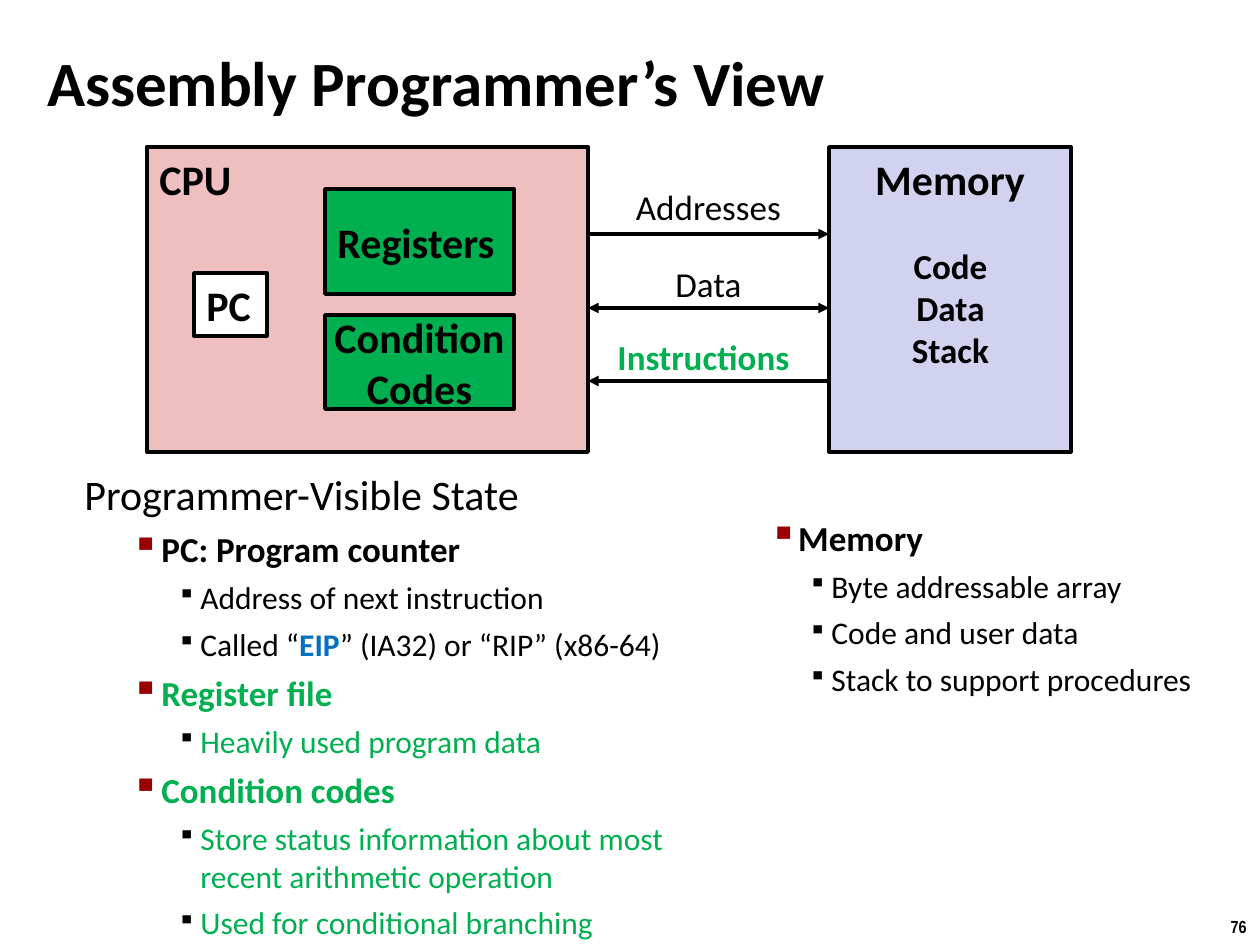
import pptx
import pptx.util
import pptx.dml.color
import pptx.enum.shapes
import pptx.enum.text
import pptx.oxml
import pptx.oxml.ns
from lxml import etree

EMU_PER_PX = 914400 / 126
COLORS = {
    "ink": "000000", "paper": "FFFFFF", "cpu": "EFBFBF", "memory": "D1D1F0",
    "green": "00B050", "blue": "0070C0", "bullet": "990000",
}
ALIGN = pptx.enum.text.PP_ALIGN
ANCHOR = pptx.enum.text.MSO_ANCHOR
# Outline levels: text size, bold, bullet colour and bullet size in percent
LEVELS = {
    0: {"size": 24, "bold": False, "bullet": None},
    1: {"size": 20, "bold": True, "bullet": ("bullet", 110)},
    2: {"size": 18, "bold": False, "bullet": ("ink", 80)},
}


def px(length):
    return pptx.util.Emu(round(length * EMU_PER_PX))


def rgb(name):
    return pptx.dml.color.RGBColor.from_string(COLORS[name])


def add_xml(parent, tag, **attributes):
    return etree.SubElement(parent, pptx.oxml.ns.qn(tag), attributes)


class SlideBuilder:
    font = "Calibri"

    def __init__(self, slide):
        self.slide = slide

    def add_run(self, paragraph, text, size, bold=False, color="ink", font=None):
        run = paragraph.add_run()
        run.text = text
        style = {"name": font or self.font, "size": pptx.util.Pt(size), "bold": bold}
        for key, value in style.items():
            setattr(run.font, key, value)
        run.font.color.rgb = rgb(color)

    def frame(self, shape, wrap=True, anchor=ANCHOR.TOP, inset=None):
        frame = shape.text_frame
        layout = {"word_wrap": wrap, "vertical_anchor": anchor,
                  "auto_size": pptx.enum.text.MSO_AUTO_SIZE.NONE}
        if inset is not None:
            sides = ("left", "top", "right", "bottom")
            layout.update({f"margin_{side}": px(inset) for side in sides})
        for key, value in layout.items():
            setattr(frame, key, value)
        return frame

    def add_lines(self, frame, lines, align, **style):
        for index, line in enumerate(lines):
            paragraph = frame.paragraphs[0] if index == 0 else frame.add_paragraph()
            paragraph.alignment = align
            self.add_run(paragraph, line, **style)

    def title(self, text, box):
        title = self.slide.shapes.title
        for key, value in zip(("left", "top", "width", "height"), box):
            setattr(title, key, px(value))
        frame = self.frame(title, anchor=ANCHOR.MIDDLE, inset=5)
        self.add_lines(frame, [text], ALIGN.LEFT, size=36, bold=True)

    def block(self, lines, box, fill, anchor=ANCHOR.MIDDLE, align=ALIGN.LEFT, line_width=2):
        rectangle = pptx.enum.shapes.MSO_SHAPE.RECTANGLE
        shape = self.slide.shapes.add_shape(rectangle, *map(px, box))
        shape.shadow.inherit = False
        shape.fill.solid()
        shape.fill.fore_color.rgb = rgb(fill)
        shape.line.color.rgb = rgb("ink")
        shape.line.width = pptx.util.Pt(line_width)
        frame = self.frame(shape, wrap=True, anchor=anchor)
        frame.word_wrap = False
        self.add_lines(frame, lines, align, size=24, bold=True)

    def label(self, lines, box, **style):
        shape = self.slide.shapes.add_textbox(*map(px, box))
        self.add_lines(self.frame(shape), lines, ALIGN.CENTER, **style)

    def arrow(self, left, right, y, heads):
        """Draw a horizontal line; heads lists headEnd (left) and tailEnd (right)."""
        straight = pptx.enum.shapes.MSO_CONNECTOR.STRAIGHT
        connector = self.slide.shapes.add_connector(straight, px(left), px(y), px(right), px(y))
        connector.line.color.rgb = rgb("ink")
        connector.line.width = pptx.util.Pt(2)
        properties = connector._element.spPr
        outline = properties.find(pptx.oxml.ns.qn("a:ln"))
        for head in heads:
            add_xml(outline, f"a:{head}", type="triangle", w="med", len="med")
        add_xml(properties, "a:effectLst")

    def outline(self, items, box, indents):
        """Add (level, colour, runs) items; indents maps a level to (margin, hanging)."""
        shape = self.slide.shapes.add_textbox(*map(px, box))
        frame = self.frame(shape)
        for index, (level, color, runs) in enumerate(items):
            paragraph = frame.paragraphs[0] if index == 0 else frame.add_paragraph()
            paragraph.level = level
            if index:
                paragraph.space_before = pptx.util.Pt(5)
            style = LEVELS[level]
            margin, hanging = indents[level]
            properties = paragraph._p.get_or_add_pPr()
            properties.set("marL", str(px(margin)))
            properties.set("indent", str(-px(hanging)))
            if style["bullet"]:
                bullet_color, percent = style["bullet"]
                add_xml(add_xml(properties, "a:buClr"), "a:srgbClr", val=COLORS[bullet_color])
                add_xml(properties, "a:buSzPct", val=str(percent * 1000))
                add_xml(properties, "a:buChar", char="▪")
            for text, emphasis in runs:
                look = {"size": style["size"], "bold": style["bold"], "color": color}
                self.add_run(paragraph, text, **{**look, **emphasis})


def main():
    deck = pptx.Presentation()
    deck.slide_width, deck.slide_height = px(1260), px(945)
    view = SlideBuilder(deck.slides.add_slide(deck.slide_layouts[5]))
    view.title("Assembly Programmer’s View", (42, 42, 995, 79))

    cpu_right, memory_left = 588, 829
    view.block(["CPU"], (147, 147, 441, 305), "cpu", ANCHOR.TOP, line_width=2.25)
    view.block(["PC"], (194, 273, 73, 63), "paper")
    view.block(["Registers"], (325, 189, 189, 105), "green")
    view.block(["Condition", "Codes"], (325, 315, 189, 94), "green", align=ALIGN.CENTER)
    view.block(["Memory"], (memory_left, 147, 242, 305), "memory", ANCHOR.TOP, ALIGN.CENTER)
    view.label(["Code", "Data", "Stack"], (872, 238, 157, 140), size=20, bold=True)

    buses = [
        ("Addresses", 234, 179, 241, ["tailEnd"], {}),
        ("Data", 308, 256, 241, ["headEnd", "tailEnd"], {}),
        ("Instructions", 381, 329, 231, ["headEnd"], {"bold": True, "color": "green"}),
    ]
    for name, y, label_top, width, heads, emphasis in buses:
        view.arrow(cpu_right, memory_left, y, heads)
        view.label([name], (cpu_right, label_top, width, 54), size=20, **emphasis)

    called = [("Called “", {}), ("EIP", {"bold": True, "color": "blue"}),
              ("” (IA32) or “RIP” (x86-64)", {})]
    state = [
        (0, "ink", [("Programmer-Visible State", {})]),
        (1, "ink", [("PC: Program counter", {})]),
        (2, "ink", [("Address of next instruction", {})]),
        (2, "ink", called),
        (1, "green", [("Register file", {})]),
        (2, "green", [("Heavily used program data", {})]),
        (1, "green", [("Condition codes", {})]),
        (2, "green", [("Store status information about most recent arithmetic operation", {})]),
        (2, "green", [("Used for conditional branching", {})]),
    ]
    view.outline(state, (72, 462, 638, 426), {0: (32, 32), 1: (77, 30), 2: (116, 23)})
    memory = [
        (1, "ink", [("Memory", {})]),
        (2, "ink", [("Byte addressable array", {})]),
        (2, "ink", [("Code and user data", {})]),
        (2, "ink", [("Stack to support procedures", {})]),
    ]
    view.outline(memory, (741, 510, 499, 217), {1: (40, 24), 2: (78, 23)})

    view.label(["76"], (1217, 910, 43, 34), size=10, bold=True, font="Arial Narrow")
    deck.save("out.pptx")


if __name__ == "__main__":
    main()
